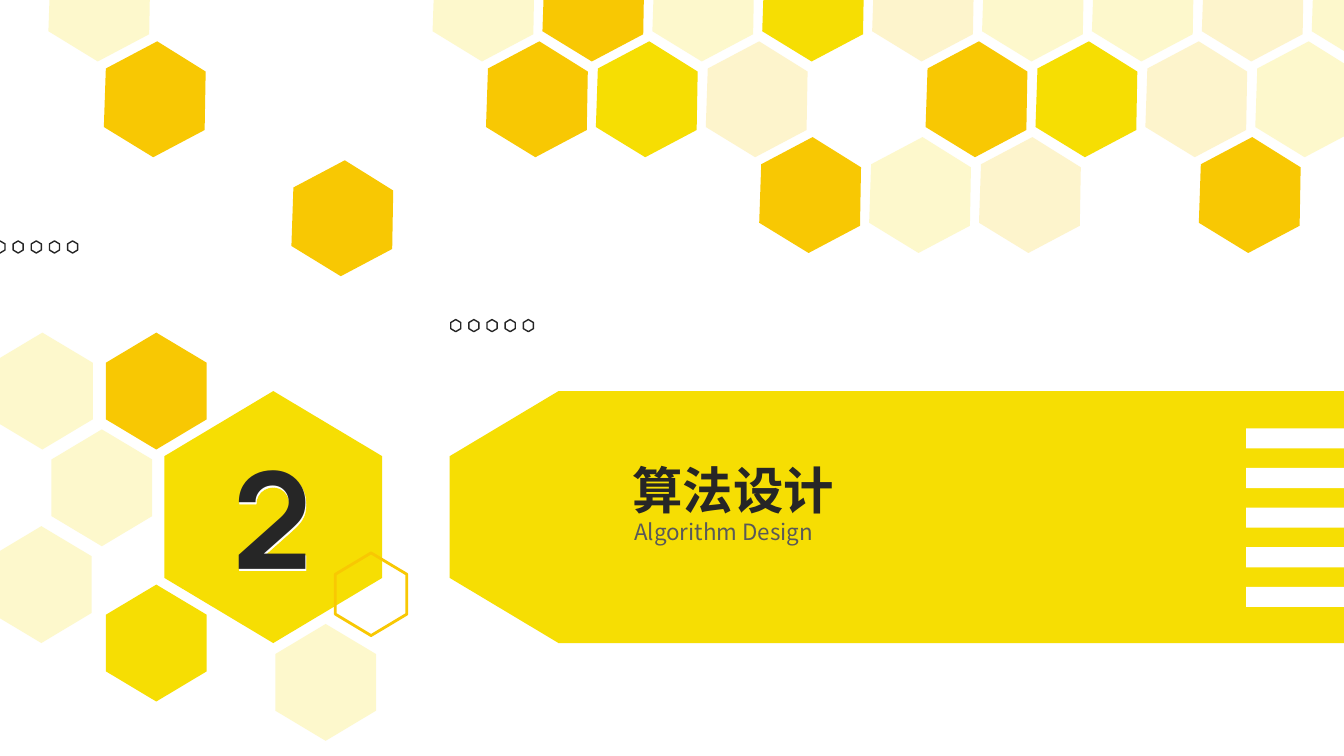
from dataclasses import dataclass

from pptx import Presentation, util as u
from pptx.dml.color import RGBColor
from pptx.enum import shapes, text
from pptx.oxml.ns import qn
from lxml import etree


@dataclass(frozen=True)
class Theme:
    yellow: str = "F6DE03"
    gold: str = "F8C803"
    white: str = "FFFFFF"
    ink: str = "262626"
    gray: str = "595959"
    pale_alpha: str = "20000"
    number_font: str = "Manrope"
    text_font: str = "Noto Sans CJK SC"
    number_size: int = 96
    title_size: int = 36
    subtitle_size: int = 16


theme = Theme()
COLUMNS, ROWS = 13.33, 7.5
CELL = u.Inches(1)
HEXAGON, RECTANGLE = shapes.MSO_SHAPE.HEXAGON, shapes.MSO_SHAPE.RECTANGLE

presentation = Presentation()
presentation.slide_width = int(COLUMNS * CELL)
presentation.slide_height = int(ROWS * CELL)
slide = presentation.slides.add_slide(presentation.slide_layouts[0])


def paint(shape, color, pale=False):
    """Fill a shape, without outline or shadow; pale means mostly transparent."""
    shape.shadow.inherit = False
    shape.line.fill.background()
    shape.fill.solid()
    shape.fill.fore_color.rgb = RGBColor.from_string(color)
    if pale:
        tint = shape.element.find(".//" + qn("a:srgbClr"))
        etree.SubElement(tint, qn("a:alpha"), val=theme.pale_alpha)


def add_preset(kind, box, color, pale=False, line_width=None):
    """Add a rectangle or an upright hexagon, filled or outlined only."""
    shape = slide.shapes.add_shape(kind, *(int(length * CELL) for length in box))
    if kind == HEXAGON:
        shape.rotation = 90
        shape.adjustments[0] = 0.299
    paint(shape, color, pale)
    if line_width:
        shape.fill.background()
        shape.line.color.rgb = RGBColor.from_string(color)
        shape.line.width = u.Pt(line_width)


# Banner and number hexagon
add_preset(RECTANGLE, (5.54, 3.88, 7.79, 2.5), theme.yellow)
for left in (1.46, 4.29):
    add_preset(HEXAGON, (left, 4.05, 2.5, 2.16), theme.yellow)

# Hexagons around the number
for left, top, color, pale in (
    (0.97, 3.38, theme.gold, False),
    (0.97, 5.88, theme.yellow, False),
    (0.43, 4.34, theme.yellow, True),
    (-0.16, 3.38, theme.yellow, True),
    (-0.17, 5.3, theme.yellow, True),
    (2.65, 6.27, theme.yellow, True),
):
    add_preset(HEXAGON, (left, top, 1.16, 1), color, pale)
add_preset(HEXAGON, (3.27, 5.54, 0.82, 0.71), theme.gold, line_width=2)

# Honeycomb: Y yellow, G gold, lower case pale, dot empty
honeycomb = ("yGyYgyygy", "GYg.GYgy", "..Gyg.G")
cells = [
    (4.29 + 0.53 * row + 1.09 * column, -0.54 + 0.95 * row, code)
    for row, codes in enumerate(honeycomb)
    for column, code in enumerate(codes)
    if code != "."
]
cells += [(1.03, 0.41, "G"), (0.48, -0.54, "y"), (2.89, 1.59, "G")]
corners = ((0.49, 1.15), (0, 0.85), (0.02, 0.27), (0.53, 0), (1.01, 0.3), (1, 0.88))
for left, top, code in cells:
    points = [(100 * (left + x), 100 * (top + y)) for x, y in corners]
    builder = slide.shapes.build_freeform(*points[0], scale=CELL / 100)
    builder.add_line_segments(points[1:], close=True)
    color = theme.gold if code in "Gg" else theme.yellow
    paint(builder.convert_to_shape(), color, pale=code.islower())

# White bars and rows of small hexagons
for index in range(5):
    add_preset(RECTANGLE, (12.36, 4.25 + 0.393 * index, 0.98, 0.2), theme.white)
    for left, top in ((4.46, 3.18), (-0.06, 2.4)):
        box = (left + 0.18 * index, top, 0.12, 0.1)
        add_preset(HEXAGON, box, theme.ink, line_width=1)

# Number with its white underlay, title and subtitle
underlay, number = (slide.shapes.add_textbox(0, 0, CELL, CELL) for _ in range(2))
title, subtitle = slide.placeholders
CENTER, LEFT = text.PP_ALIGN.CENTER, text.PP_ALIGN.LEFT
MIDDLE, TOP = text.MSO_ANCHOR.MIDDLE, text.MSO_ANCHOR.TOP
for shape, words, box, font_name, size, color, bold, align, anchor in (
    (underlay, "2", (1.75, 4.27, 1.91, 1.72), theme.number_font,
     theme.number_size, theme.white, True, CENTER, MIDDLE),
    (number, "2", (1.75, 4.26, 1.91, 1.72), theme.number_font,
     theme.number_size, theme.ink, True, CENTER, MIDDLE),
    (title, "算法设计", (6.17, 4.5, 4.66, 0.71), theme.text_font,
     theme.title_size, theme.ink, True, LEFT, TOP),
    (subtitle, "Algorithm Design", (6.19, 5.09, 4.02, 0.37), theme.text_font,
     theme.subtitle_size, theme.gray, False, LEFT, TOP),
):
    shape.left, shape.top, shape.width, shape.height = (
        int(length * CELL) for length in box
    )
    frame = shape.text_frame
    frame.text = words
    frame.word_wrap = True
    frame.auto_size = text.MSO_AUTO_SIZE.NONE
    frame.vertical_anchor = anchor
    paragraph = frame.paragraphs[0]
    paragraph.alignment = align
    paragraph.space_before = u.Pt(0)
    paragraph.font.name = font_name
    paragraph.font.size = u.Pt(size)
    paragraph.font.bold = bold
    paragraph.font.color.rgb = RGBColor.from_string(color)
    properties = shape.element.find(".//" + qn("a:defRPr"))
    etree.SubElement(properties, qn("a:ea"), typeface=font_name)
    # Bring the text in front of the banner
    shape.element.getparent().append(shape.element)

# White outline of the underlay
properties = underlay.element.find(".//" + qn("a:defRPr"))
outline = etree.Element(qn("a:ln"), w=str(u.Pt(6)))
outline_fill = etree.SubElement(outline, qn("a:solidFill"))
etree.SubElement(outline_fill, qn("a:srgbClr"), val=theme.white)
properties.insert(0, outline)

presentation.save("out.pptx")
